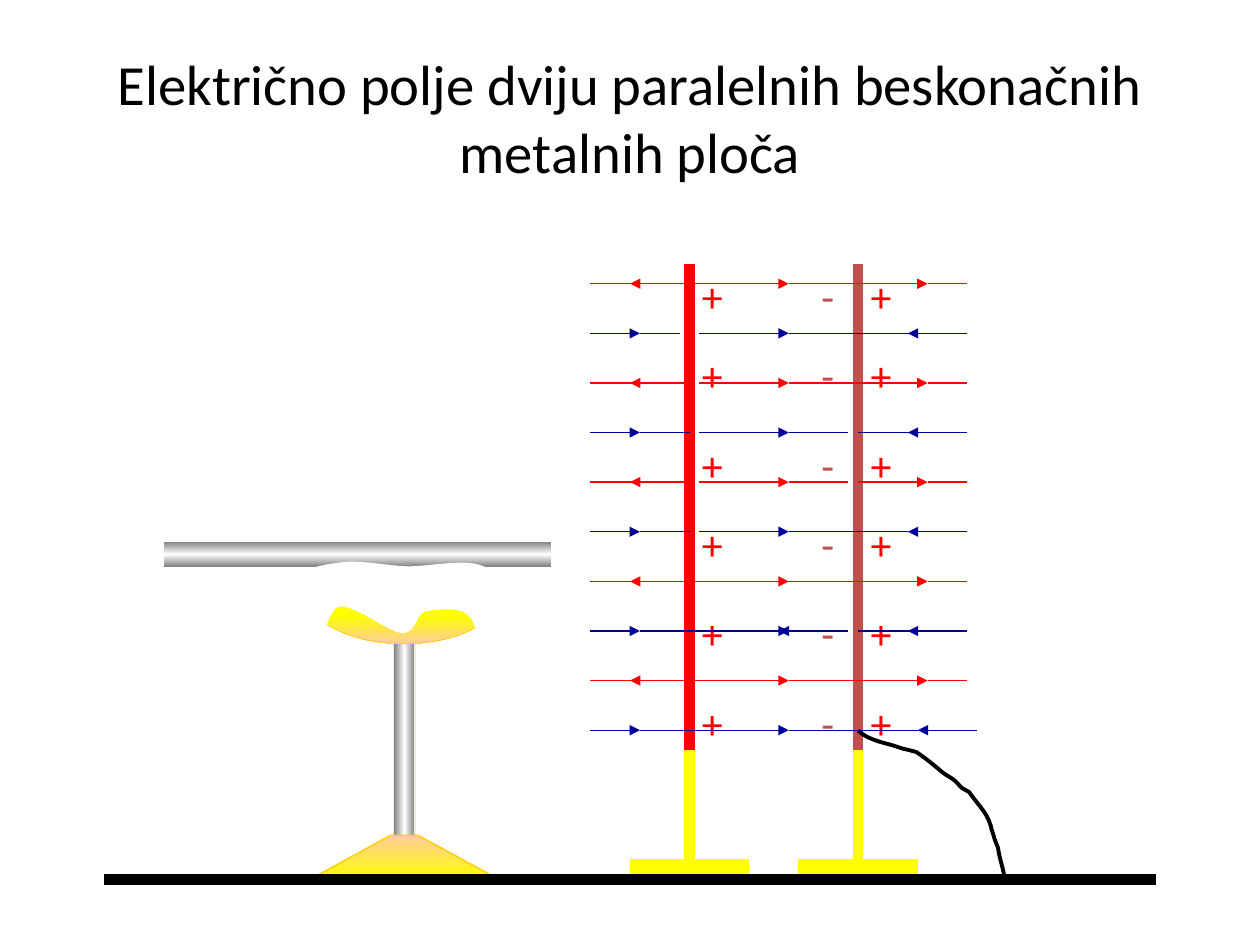
from lxml.etree import SubElement
from pptx import Presentation
from pptx.dml.color import RGBColor
from pptx.enum.shapes import MSO_CONNECTOR, MSO_SHAPE
from pptx.enum.text import MSO_ANCHOR, PP_ALIGN
from pptx.oxml.ns import qn
from pptx.util import Cm, Pt

COLORS = {
    "black": "000000", "white": "FFFFFF", "red": "FF0000", "blue": "000099",
    "brick": "C0504D", "yellow": "FFFF00", "gold": "FFCC00",
    "peach": "FFCC99", "steel": "808080", "ivory": "EEECE1",
}
METAL = [(0, "steel"), (50, "white"), (100, "steel")]
GROUND_Y = 17.73
PLATE_XS = (13.9, 17.3)


def rgb(name):
    return RGBColor.from_string(COLORS[name])


def add_text(slide, text, left, top, width, height, size=24, color="black",
             align=PP_ALIGN.LEFT, anchor=MSO_ANCHOR.TOP, wrap=False):
    box = slide.shapes.add_textbox(Cm(left), Cm(top), Cm(width), Cm(height))
    frame = box.text_frame
    frame.word_wrap = wrap
    frame.vertical_anchor = anchor
    paragraph = frame.paragraphs[0]
    paragraph.text = text
    paragraph.alignment = align
    paragraph.font.name = "Calibri"
    paragraph.font.size = Pt(size)
    paragraph.font.color.rgb = rgb(color)


def add_line(slide, start, end, color, weight=0.75, arrow=False):
    line = slide.shapes.add_connector(
        MSO_CONNECTOR.STRAIGHT, *(Cm(value) for value in (*start, *end)))
    line.line.color.rgb = rgb(color)
    line.line.width = Pt(weight)
    SubElement(line._element.spPr, qn("a:effectLst"))
    if arrow:
        SubElement(line.line._get_or_add_ln(), qn("a:tailEnd"), type="triangle")
    return line


def paint(shape, fill=None, line=None, weight=0.75, angle=270):
    shape.shadow.inherit = False
    if fill is None:
        shape.fill.background()
    elif isinstance(fill, str):
        shape.fill.solid()
        shape.fill.fore_color.rgb = rgb(fill)
    else:
        shape.fill.gradient()
        shape.fill.gradient_angle = angle
        stops = shape._element.spPr.find(qn("a:gradFill")).find(qn("a:gsLst"))
        for stop in list(stops):
            stops.remove(stop)
        for position, color in fill:
            stop = SubElement(stops, qn("a:gs"), pos=str(position * 1000))
            SubElement(stop, qn("a:srgbClr"), val=COLORS[color])
    if line:
        shape.line.color.rgb = rgb(line)
        shape.line.width = Pt(weight)
    else:
        shape.line.fill.background()
    return shape


def add_rect(slide, left, top, width, height, **style):
    rect = slide.shapes.add_shape(
        MSO_SHAPE.RECTANGLE, Cm(left), Cm(top), Cm(width), Cm(height))
    return paint(rect, **style)


def add_outline(slide, left, top, start, curves=(), corners=(), close=True, **style):
    points = [start, *(point for curve in curves for point in curve), *corners]
    placed = [(Cm(left + x), Cm(top + y)) for x, y in points]
    builder = slide.shapes.build_freeform(*placed[0])
    builder.add_line_segments(placed[1:], close=close)
    outline = builder.convert_to_shape()
    segments = list(outline._element.iter(qn("a:lnTo")))
    for index in range(0, 3 * len(curves), 3):
        first, *others = segments[index:index + 3]
        bezier = first.makeelement(qn("a:cubicBezTo"))
        first.addprevious(bezier)
        for segment in (first, *others):
            bezier.append(segment[0])
            segment.getparent().remove(segment)
    return paint(outline, **style)


def draw_electroscope(slide, left, top):
    add_rect(slide, left, top, 7.8, 0.51, fill=METAL)
    add_rect(slide, left + 4.64, top + 1.98, 0.43, 4.39,
             fill=METAL, line="ivory", angle=0)
    bowl = [((3.15, 1.73), (3.94, 2.06), (4.83, 2.06)),
            ((5.84, 2.06), (6.68, 1.68), (6.76, 1.17))]
    add_outline(slide, left, top, (2.95, 1.3), bowl, [(4.83, 1.09)],
                fill=[(0, "yellow"), (40, "yellow"), (100, "peach")],
                line="gold", weight=0.25)
    foot = [(2.95, 6.81), (6.76, 6.81), (5.13, 5.92)]
    add_outline(slide, left, top, (4.57, 5.92), corners=foot,
                fill=[(0, "peach"), (100, "yellow")], line="gold")
    cutout = [
        ((2.92, 2.08), (2.62, 1.09), (2.69, 0.81)),
        ((2.79, 0.53), (3.23, 0.48), (3.58, 0.43)),
        ((3.96, 0.38), (4.37, 0.48), (4.88, 0.51)),
        ((5.38, 0.53), (6.27, 0.28), (6.6, 0.61)),
        ((6.96, 0.91), (6.96, 2.08), (6.93, 2.39)),
        ((6.93, 2.67), (6.65, 2.51), (6.5, 2.36)),
        ((6.38, 2.21), (6.35, 1.6), (6.12, 1.45)),
        ((5.92, 1.3), (5.49, 1.35), (5.26, 1.4)),
        ((5.05, 1.47), (5.11, 1.83), (4.8, 1.83)),
        ((4.52, 1.8), (3.84, 1.24), (3.53, 1.3)),
        ((3.25, 1.37), (3.2, 2.24), (3.05, 2.16))]
    add_outline(slide, left, top, (3.05, 2.16), cutout, fill="white", line="white")


def draw_plate(slide, x, top, color, signs):
    bottom = top + 9.78
    add_line(slide, (x, top), (x, bottom), color, weight=6)
    for sign, offset, width, sign_color in signs:
        for drop in (0, 1.6, 3.4, 5, 6.8, 8.6):
            add_text(slide, sign, x + offset, top + drop, width, 1.27, color=sign_color)
    base = add_rect(slide, x - 1.19, GROUND_Y - 0.4, 2.38, 0.4,
                    fill="yellow", line="yellow")
    stand = add_line(slide, (x, bottom), (x, GROUND_Y), "yellow", weight=6)
    stand.end_connect(base, 2)


def draw_wire(slide, left, top):
    wire = [
        ((0.2, 0.18), (0.46, 0.23), (0.71, 0.3)),
        ((0.76, 0.33), (0.84, 0.33), (0.89, 0.36)),
        ((0.99, 0.38), (1.17, 0.43), (1.17, 0.43)),
        ((1.37, 0.56), (1.52, 0.69), (1.7, 0.84)),
        ((1.78, 0.91), (1.88, 0.94), (1.96, 1.02)),
        ((2.13, 1.19), (2.03, 1.12), (2.24, 1.24)),
        ((2.39, 1.47), (2.59, 1.63), (2.67, 1.91)),
        ((2.69, 1.96), (2.69, 2.03), (2.72, 2.08)),
        ((2.74, 2.18), (2.82, 2.36), (2.82, 2.36)),
        ((2.84, 2.57), (2.95, 2.82), (2.95, 3.02))]
    add_outline(slide, left, top, (0, 0), wire, close=False, line="black", weight=2.25)


def draw_field(slide, left, top, pitch=1.0):
    positive_rows = [(2.2, 4, 5.4), (2, 4, 5.4), (2, 4, 5.2),
                     (2.2, 3.8, 5.4), (2.2, 4, 5.4)]
    negative_rows = [(1.8, 4, 5.4, 6.6, 7.6), (2, 4, 5.2, 6.6, 7.6),
                     (2, 4, 5.4, 6.4, 7.6), (2.4, 5.2, 3.8, 6.8, 7.6),
                     (2.4, 4, 5.4, 6.6, 7.8)]

    def draw_row(index, color, arrows, plain):
        y = top + index * pitch
        for segments, arrow in ((arrows, True), (plain, False)):
            for start, end in segments:
                add_line(slide, (left + start, y), (left + end, y), color, arrow=arrow)

    for index, (tail, start, end) in enumerate(positive_rows):
        draw_row(2 * index, "red",
                 [(2.2, 4), (5.4, 6.8), (tail, 0.8)],
                 [(1, 0), (start, end), (6.8, 7.6)])
    for index, (inner, start, end, outer, edge) in enumerate(negative_rows):
        arrows = [(0, 1), (2.2, 4), (edge, edge - 1.2)]
        plain = [(1, inner), (5.4, outer)]
        (arrows if end < start else plain).append((start, end))
        draw_row(2 * index + 1, "blue", arrows, plain)


def main():
    deck = Presentation()
    deck.slide_width, deck.slide_height = Cm(25.4), Cm(19.05)
    slide = deck.slides.add_slide(deck.slide_layouts[6])
    add_text(slide, "Električno polje dviju paralelnih beskonačnih metalnih ploča",
             1.27, 0.76, 22.86, 3.18, size=32.4, align=PP_ALIGN.CENTER,
             anchor=MSO_ANCHOR.MIDDLE, wrap=True)
    draw_electroscope(slide, 3.3, 10.92)
    plus = ("+", 0, 1.02, "red")
    minus = ("-", -0.99, 0.79, "brick")
    draw_plate(slide, PLATE_XS[0], 5.33, "red", [plus])
    draw_plate(slide, PLATE_XS[1], 5.33, "brick", [plus, minus])
    draw_wire(slide, PLATE_XS[1], 14.73)
    add_line(slide, (2.1, GROUND_Y), (23.3, GROUND_Y), "black", weight=6)
    draw_field(slide, 11.9, 5.72)
    deck.save("out.pptx")


if __name__ == "__main__":
    main()
